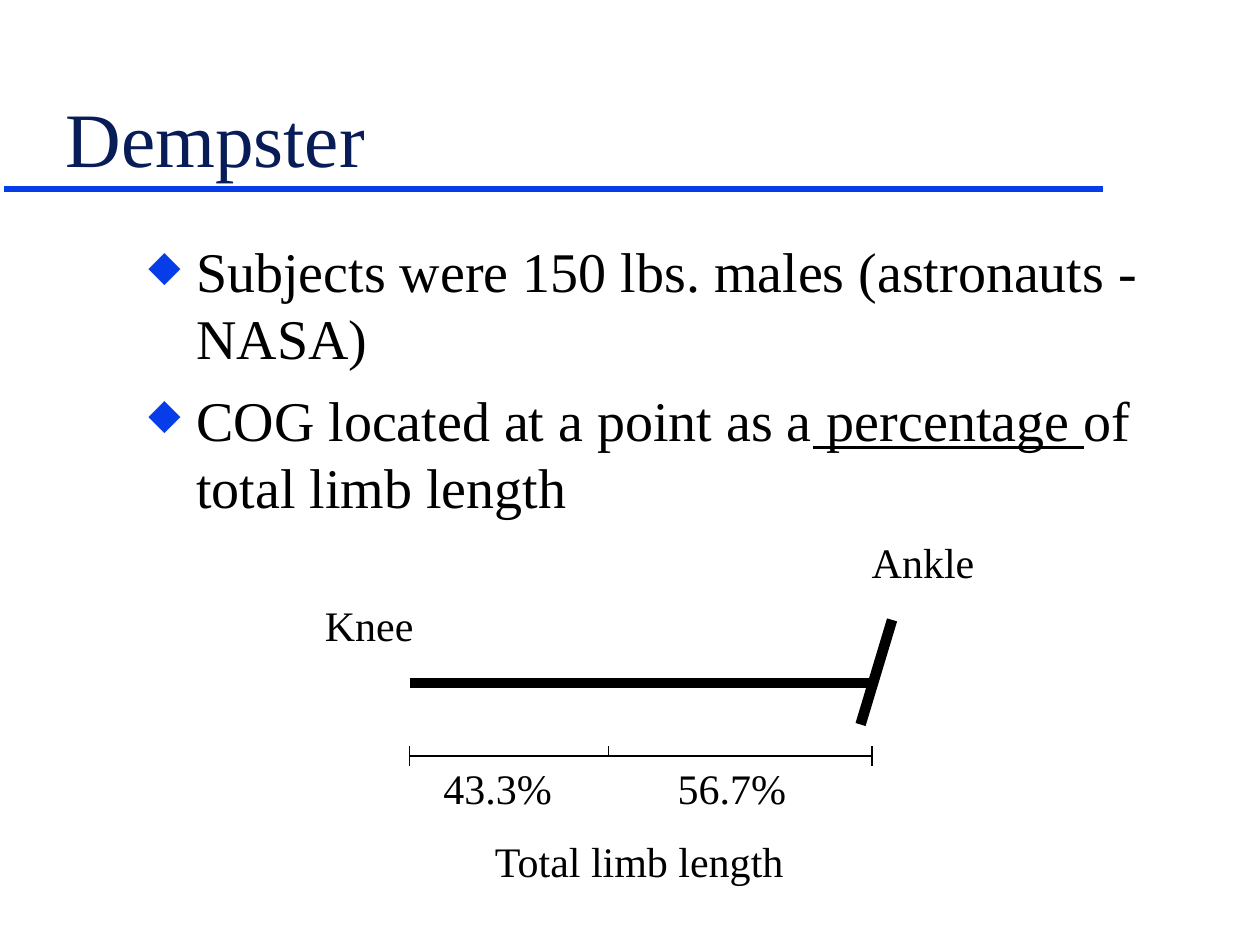
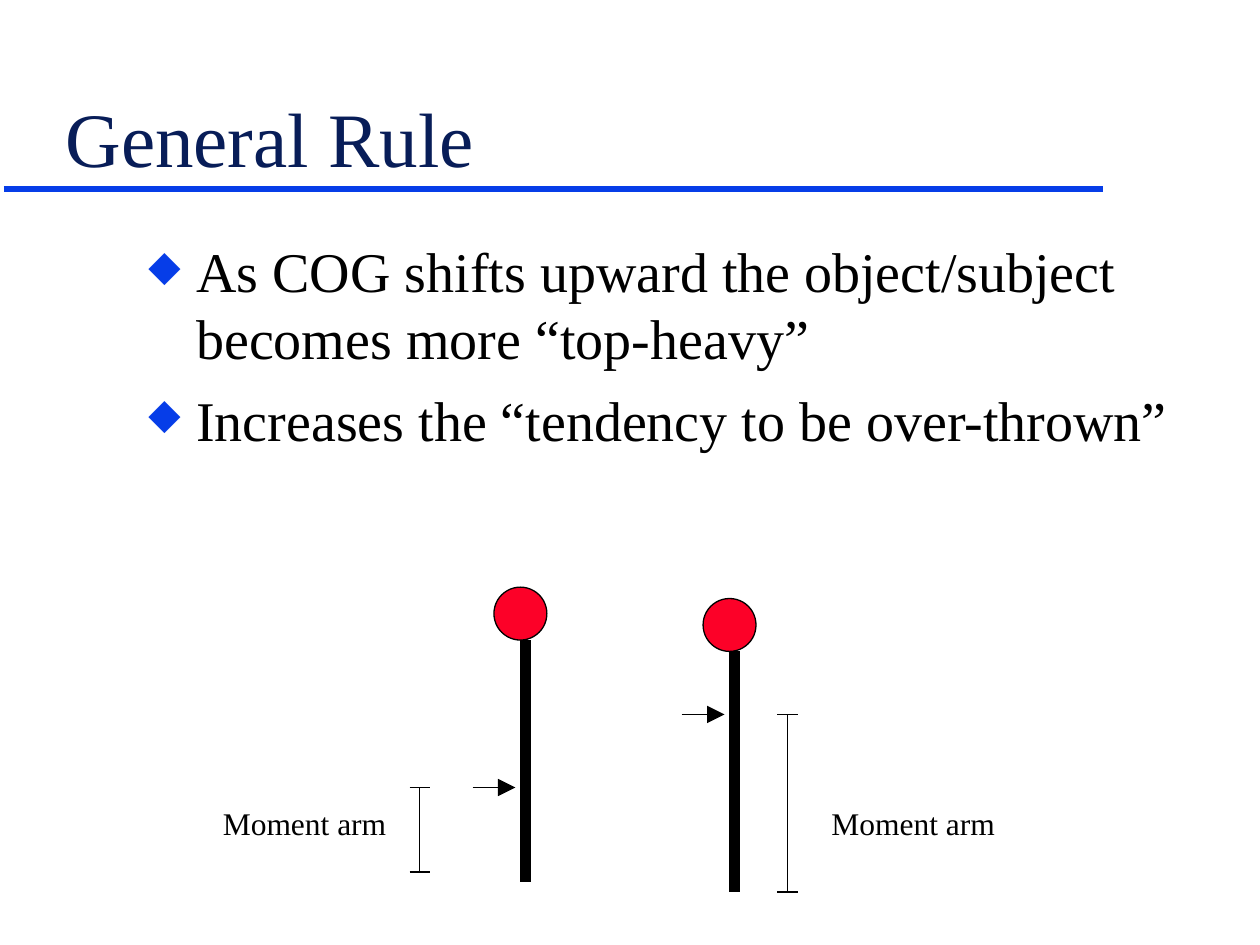
"""Build two slides on limb centre of gravity and the top-heavy rule."""
from dataclasses import dataclass
from typing import Any

import lxml.etree
import pptx
import pptx.dml.color
import pptx.enum.shapes
import pptx.enum.text
import pptx.oxml.ns
import pptx.slide
import pptx.util

Inches = pptx.util.Inches
Pt = pptx.util.Pt
qn = pptx.oxml.ns.qn
ANCHOR = pptx.enum.text.MSO_ANCHOR
AUTO = pptx.enum.text.MSO_AUTO_SIZE

COLORS = {"rule": "063DE8", "title": "081D58", "ink": "000000", "head": "FC0128"}
FONT = "Times New Roman"
INSETS = {
    "margin_left": Inches(0.1), "margin_right": Inches(0.1),
    "margin_top": Inches(0.05), "margin_bottom": Inches(0.05),
}
FRAMES = {
    "title": {**INSETS, "word_wrap": True, "auto_size": AUTO.NONE,
              "vertical_anchor": ANCHOR.BOTTOM},
    "body": {**INSETS, "word_wrap": True, "auto_size": AUTO.NONE},
    "label": {**INSETS, "word_wrap": False, "auto_size": AUTO.SHAPE_TO_FIT_TEXT},
}
TICK = 0.08
HEAD = 0.42


@dataclass(frozen=True)
class Line:
    x1: float
    y1: float
    x2: float
    y2: float
    width: float = 0.75
    color: str = "ink"
    arrow: bool = False


@dataclass(frozen=True)
class Label:
    text: str
    left: float
    top: float
    width: float
    height: float = 0.5
    size: int = 24


@dataclass(frozen=True)
class Figure:
    x: float
    top: float
    bottom: float
    cog: float
    arm_x: float
    arm_bottom: float
    label_left: float


@dataclass(frozen=True)
class Run:
    text: str
    underline: bool = False


LIMB = [
    Line(3.25, 5.42, 6.92, 5.42, 6),
    Line(7.08, 4.92, 6.83, 5.75, 6),
    Line(3.25, 6, 6.92, 6),
    Line(4.83, 6 - TICK, 4.83, 6),
    *[Line(x, 6 - TICK, x, 6 + TICK) for x in (3.25, 6.92)],
]
LIMB_LABELS = [
    Label("Knee", 2.48, 4.71, 0.95),
    Label("Ankle", 6.82, 4.21, 1.1),
    Label("43.3%", 3.42, 6, 1.1),
    Label("56.7%", 5.28, 6, 1.1),
    Label("Total limb length", 3.83, 6.58, 2.6),
]
FIGURES = [
    Figure(4.17, 5.08, 7, 6.25, 3.33, 6.92, 1.67),
    Figure(5.83, 5.17, 7.08, 5.67, 6.25, 7.08, 6.5),
]
DEMPSTER = [
    [Run("Subjects were 150 lbs. males (astronauts - NASA)")],
    [Run("COG located at a point as a"), Run(" percentage ", True),
     Run("of total limb length")],
]
GENERAL_RULE = [
    [Run("As COG shifts upward the object/subject becomes more “top-heavy”")],
    [Run("Increases the “tendency to be over-thrown”")],
]


def rgb(name: str) -> pptx.dml.color.RGBColor:
    """Return a named colour."""
    return pptx.dml.color.RGBColor.from_string(COLORS[name])


def apply(target: Any, values: dict[str, Any]) -> None:
    """Set each attribute in the dict on the target."""
    for name, value in values.items():
        setattr(target, name, value)


def style(font: Any, size: int, color: str = "ink") -> None:
    """Format a font."""
    apply(font, {"name": FONT, "size": Pt(size)})
    font.color.rgb = rgb(color)


def draw_line(s: pptx.slide.Slide, line: Line) -> None:
    """Draw a straight line, with an arrowhead if asked."""
    ends = [Inches(v) for v in (line.x1, line.y1, line.x2, line.y2)]
    sp = s.shapes.add_connector(pptx.enum.shapes.MSO_CONNECTOR.STRAIGHT, *ends)
    sp.line.width = Pt(line.width)
    sp.line.color.rgb = rgb(line.color)
    if line.arrow:
        lxml.etree.SubElement(sp.line._get_or_add_ln(), qn("a:tailEnd"),
                              type="triangle", w="lg", len="lg")
    lxml.etree.SubElement(sp._element.spPr, qn("a:effectLst"))


def draw_label(s: pptx.slide.Slide, label: Label) -> None:
    """Write a one-line label."""
    box = [Inches(v) for v in (label.left, label.top, label.width, label.height)]
    tf = s.shapes.add_textbox(*box).text_frame
    apply(tf, FRAMES["label"])
    r = tf.paragraphs[0].add_run()
    r.text = label.text
    style(r.font, label.size)


def add_bullet(p: Any) -> None:
    """Give a paragraph the diamond bullet and hanging indent."""
    pPr = p._p.get_or_add_pPr()
    indents = {"marL": Inches(0.38), "indent": -Inches(0.38)}
    for name, value in indents.items():
        pPr.set(name, str(int(value)))
    clr = lxml.etree.SubElement(pPr, qn("a:buClr"))
    lxml.etree.SubElement(clr, qn("a:srgbClr"), val=COLORS["rule"])
    lxml.etree.SubElement(pPr, qn("a:buSzPct"), val="75000")
    lxml.etree.SubElement(pPr, qn("a:buChar"), char="◆")


def draw_body(s: pptx.slide.Slide, bullets: list[list[Run]]) -> None:
    """Write the bulleted text."""
    box = [Inches(v) for v in (1.08, 1.83, 8.5, 4.5)]
    tf = s.shapes.add_textbox(*box).text_frame
    apply(tf, FRAMES["body"])
    for i, runs in enumerate(bullets):
        p = tf.add_paragraph() if i else tf.paragraphs[0]
        add_bullet(p)
        p.space_before = Pt(8 if i else 0)
        for run in runs:
            r = p.add_run()
            r.text = run.text
            style(r.font, 32)
            if run.underline:
                r.font.underline = True


def add_slide(prs: Any, title: str, bullets: list[list[Run]]) -> pptx.slide.Slide:
    """Add a slide with its rule, title and bullets."""
    s = prs.slides.add_slide(prs.slide_layouts.get_by_name("Title Only"))
    draw_line(s, Line(0.03, 1.5, 8.75, 1.5, 4, "rule"))
    sp = s.shapes.title
    apply(sp, {"left": Inches(0.42), "top": Inches(0.29),
               "width": Inches(8.5), "height": Inches(1.21)})
    tf = sp.text_frame
    apply(tf, FRAMES["title"])
    p = tf.paragraphs[0]
    p.alignment = pptx.enum.text.PP_ALIGN.LEFT
    r = p.add_run()
    r.text = title
    style(r.font, 44, "title")
    draw_body(s, bullets)
    return s


def draw_figure(s: pptx.slide.Slide, fig: Figure) -> None:
    """Draw a pole with its head, COG arrow and moment arm."""
    draw_line(s, Line(fig.x, fig.top, fig.x, fig.bottom, 6))
    box = [Inches(v) for v in (fig.x - 0.25, fig.top - HEAD, HEAD, HEAD)]
    sp = s.shapes.add_shape(pptx.enum.shapes.MSO_SHAPE.OVAL, *box)
    sp.shadow.inherit = False
    sp.fill.solid()
    sp.fill.fore_color.rgb = rgb("head")
    sp.line.color.rgb = rgb("ink")
    sp.line.width = Pt(0.75)
    draw_line(s, Line(fig.x - 0.42, fig.cog, fig.x - 0.08, fig.cog, arrow=True))
    draw_line(s, Line(fig.arm_x, fig.cog, fig.arm_x, fig.arm_bottom))
    for y in (fig.cog, fig.arm_bottom):
        draw_line(s, Line(fig.arm_x - TICK, y, fig.arm_x + TICK, y))
    draw_label(s, Label("Moment arm", fig.label_left, 6.33, 1.5, 0.4, 18))


def main() -> None:
    """Build and save the presentation."""
    prs = pptx.Presentation()
    apply(prs, {"slide_width": Inches(10), "slide_height": Inches(7.5)})
    s = add_slide(prs, "Dempster", DEMPSTER)
    for line in LIMB:
        draw_line(s, line)
    for label in LIMB_LABELS:
        draw_label(s, label)
    s = add_slide(prs, "General Rule", GENERAL_RULE)
    for fig in FIGURES:
        draw_figure(s, fig)
    prs.save("out.pptx")


if __name__ == "__main__":
    main()
